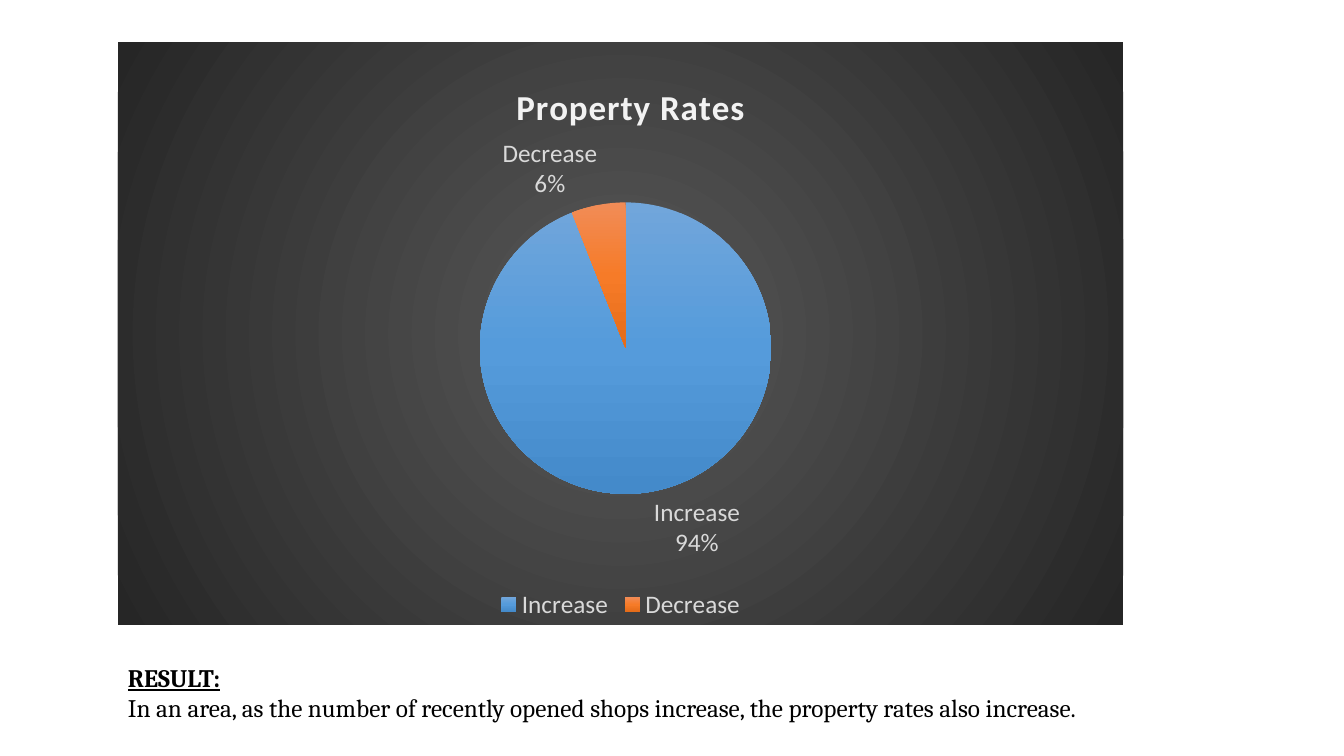
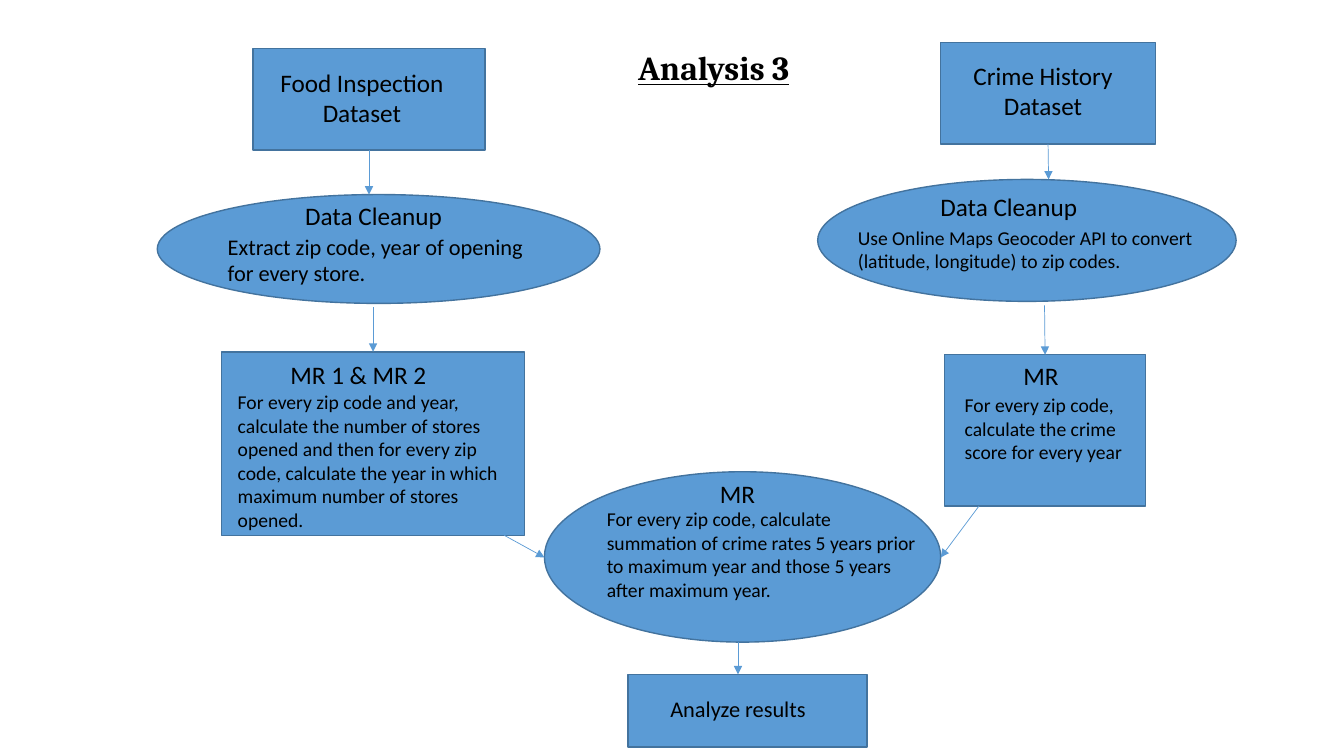
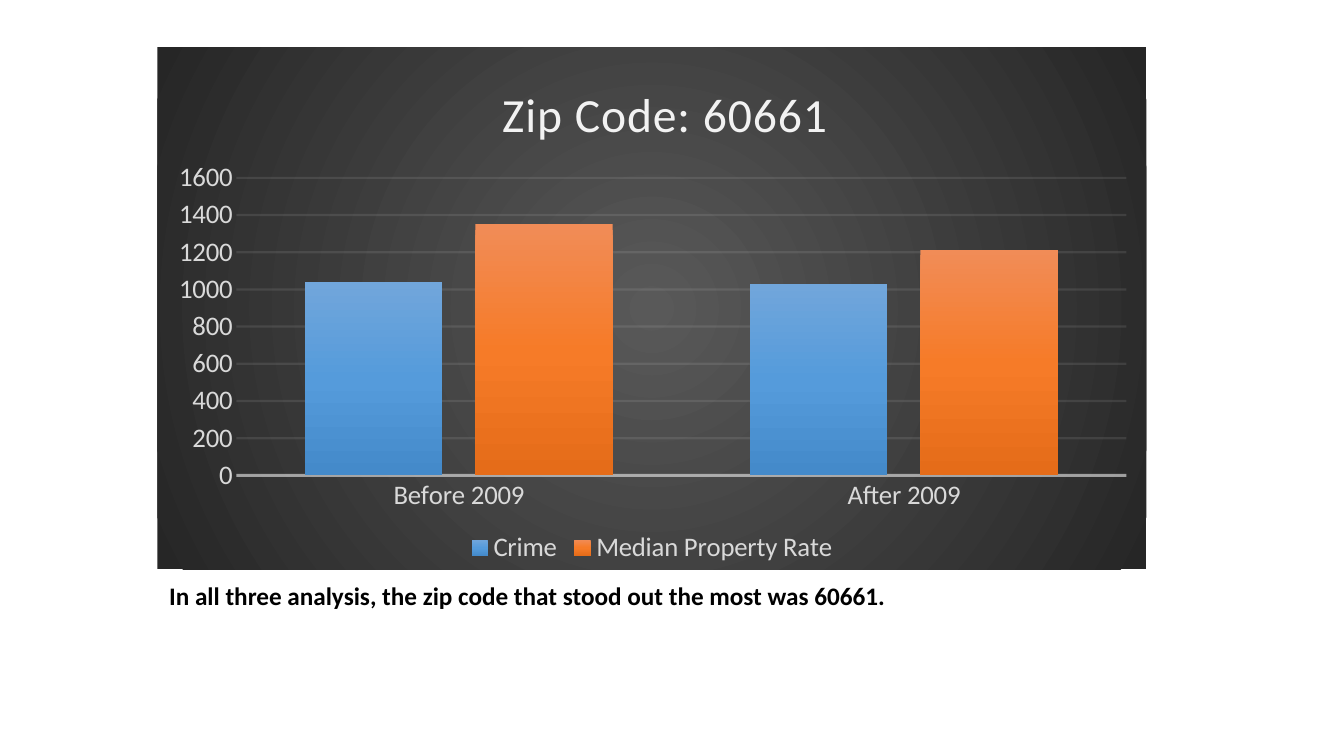
from lxml import etree
from pptx import Presentation
from pptx.chart.data import CategoryChartData
from pptx.dml.color import RGBColor
from pptx.enum.chart import XL_CHART_TYPE, XL_LABEL_POSITION, XL_LEGEND_POSITION, XL_TICK_MARK
from pptx.enum.shapes import MSO_CONNECTOR, MSO_SHAPE
from pptx.enum.text import MSO_ANCHOR, MSO_AUTO_SIZE, PP_ALIGN
from pptx.oxml.ns import qn
from pptx.util import Inches, Pt

COLORS = {
    "text": "000000", "node": "5B9BD5", "edge": "43739E",
    "chart_title": "F2F2F2", "chart_text": "D9D9D9",
}
PANEL = ("595959", "262626")
BLUES = ("71A6DB", "559BDB", "448ACA")
ORANGES = ("F18C57", "F67B28", "E56C19")
TITLE_ONLY, BLANK = 5, 6
TOP, BOTTOM = 0, 2


def rgb(name):
    return RGBColor.from_string(COLORS[name])


def place(box):
    return [Inches(length) for length in box]


def within(box, part):
    """Turn a part's offset and size into a box on the page."""
    return (round(box[0] + part[0], 2), round(box[1] + part[1], 2), *part[2:])


def style_font(font, size, color="text", name="Calibri", bold=False, underline=False):
    font.size, font.name, font.bold = Pt(size), name, bold
    font.underline = underline
    font.color.rgb = rgb(color)


def add_para(frame, text, align=PP_ALIGN.LEFT, first=False, **style):
    para = frame.paragraphs[0] if first else frame.add_paragraph()
    para.alignment = align
    span = para.add_run()
    span.text = text
    style_font(span.font, **style)


def add_text(page, box, text, **style):
    frame = page.shapes.add_textbox(*place(box)).text_frame
    frame.word_wrap = True
    add_para(frame, text, first=True, **style)
    return frame


def add_title(page, box, text, **style):
    title = page.shapes.title
    title.left, title.top, title.width, title.height = place(box)
    frame = title.text_frame
    frame.auto_size = MSO_AUTO_SIZE.NONE
    frame.vertical_anchor = MSO_ANCHOR.TOP
    add_para(frame, text, first=True, **style)


def fill_gradient(holder, colors, circle=False):
    """Give a chart part's spPr evenly spaced stops, downwards or from the centre."""
    for old in list(holder):
        holder.remove(old)
    gradient = etree.SubElement(holder, qn("a:gradFill"), rotWithShape="1")
    stops = etree.SubElement(gradient, qn("a:gsLst"))
    for index, color in enumerate(colors):
        position = index * 100000 // (len(colors) - 1)
        stop = etree.SubElement(stops, qn("a:gs"), pos=str(position))
        etree.SubElement(stop, qn("a:srgbClr"), val=color)
    if circle:
        path = etree.SubElement(gradient, qn("a:path"), path="circle")
        etree.SubElement(path, qn("a:fillToRect"), l="50000", t="50000", r="50000", b="50000")
    else:
        etree.SubElement(gradient, qn("a:lin"), ang="5400000", scaled="0")
    line = etree.SubElement(holder, qn("a:ln"))
    etree.SubElement(line, qn("a:noFill"))


def manual_layout(**values):
    """Build a chart layout from fractions of the chart's size."""
    layout = etree.Element(qn("c:layout"))
    manual = etree.SubElement(layout, qn("c:manualLayout"))
    if "w" in values:
        etree.SubElement(manual, qn("c:layoutTarget"), val="inner")
    for mode in ("xMode", "yMode"):
        etree.SubElement(manual, qn("c:" + mode), val="edge")
    for key, value in values.items():
        etree.SubElement(manual, qn("c:" + key), val=str(value))
    return layout


def set_layout(parent, layout, index):
    for old in parent.findall(qn("c:layout")):
        parent.remove(old)
    parent.insert(index, layout)


def add_dark_chart(page, box, kind, categories, series, title, title_at, plot_at,
                   title_size, text_size, bold=False):
    data = CategoryChartData()
    data.categories = categories
    for name, values in series:
        data.add_series(name, values)
    chart = page.shapes.add_chart(kind, *place(box), data).chart
    style_font(chart.font, text_size, "chart_text")

    panel = etree.Element(qn("c:spPr"))
    chart.element.find(qn("c:chart")).addnext(panel)
    fill_gradient(panel, PANEL, circle=True)

    chart.has_title = True
    frame = chart.chart_title.text_frame
    add_para(frame, title, first=True, align=PP_ALIGN.CENTER,
             size=title_size, color="chart_title", bold=bold)
    for properties in frame._txBody.iter(qn("a:rPr")):
        properties.set("spc", "80")
    chart.chart_title.include_in_layout = False
    set_layout(chart.chart_title._element, manual_layout(**title_at), 1)
    set_layout(chart.element.find(".//" + qn("c:plotArea")), manual_layout(**plot_at), 0)

    chart.has_legend = True
    chart.legend.position = XL_LEGEND_POSITION.BOTTOM
    chart.legend.include_in_layout = False
    style_font(chart.legend.font, text_size, "chart_text")
    return chart


def add_rates_pie(page, box):
    chart = add_dark_chart(
        page, box, XL_CHART_TYPE.PIE, ["Increase", "Decrease"], [("Series 1", (94, 6))],
        "Property Rates", dict(x=0.39, y=0.06), dict(x=0.36, y=0.27, w=0.29, h=0.51),
        title_size=25, text_size=18, bold=True)
    plot = chart.plots[0]
    plot.vary_by_categories = True
    series = plot.series[0]
    for index, colors in enumerate((BLUES, ORANGES)):
        series.points[index].format.fill.background()
        fill_gradient(series._element.xpath("c:dPt/c:spPr")[index], colors)
    labels = series.data_labels
    labels.show_value = False
    labels.show_category_name = labels.show_percentage = True
    labels.position = XL_LABEL_POSITION.OUTSIDE_END
    style_font(labels.font, 18, "chart_text")
    separator = etree.Element(qn("c:separator"))
    separator.text = "\n"
    labels._element.find(qn("c:showBubbleSize")).addnext(separator)


def style_chart_line(line, owner, route, width, opacity):
    line.color.rgb = rgb("chart_title")
    line.width = Pt(width)
    color = owner._element.xpath(route + "/c:spPr/a:ln//a:srgbClr")[0]
    etree.SubElement(color, qn("a:alpha"), val=str(opacity * 1000))


def add_zip_columns(page, box):
    chart = add_dark_chart(
        page, box, XL_CHART_TYPE.COLUMN_CLUSTERED, ["Before 2009", "After 2009"],
        [("Crime", (1040, 1030)), ("Median Property Rate", (1350, 1210))],
        "Zip Code: 60661", dict(x=0.34, y=0.05), dict(x=0.08, y=0.25, w=0.9, h=0.57),
        title_size=34, text_size=19.1)
    plot = chart.plots[0]
    plot.vary_by_categories = False
    plot.gap_width, plot.overlap = 100, -24
    for series, colors in zip(plot.series, (BLUES, ORANGES)):
        fill_gradient(series._element.get_or_add_spPr(), colors)

    years, amounts = chart.category_axis, chart.value_axis
    for axis in (years, amounts):
        axis.major_tick_mark = axis.minor_tick_mark = XL_TICK_MARK.NONE
        style_font(axis.tick_labels.font, 19.1, "chart_text")
    amounts.minimum_scale, amounts.maximum_scale, amounts.major_unit = 0, 1600, 200
    amounts.format.line.fill.background()
    style_chart_line(years.format.line, years, ".", 2.12, 54)
    style_chart_line(amounts.major_gridlines.format.line, amounts, "c:majorGridlines", 1.59, 10)


def add_node(page, kind, box, detail, detail_at, size, heading=None, heading_at=None,
             align=PP_ALIGN.LEFT):
    """Draw one step; its text boxes are placed relative to its box."""
    node = page.shapes.add_shape(kind, *place(box))
    node.shadow.inherit = False
    node.fill.solid()
    node.fill.fore_color.rgb = rgb("node")
    node.line.color.rgb = rgb("edge")
    node.line.width = Pt(1)
    if heading:
        add_text(page, within(box, (*heading_at, 1.83, 0.4)), heading,
                 size=18, align=PP_ALIGN.CENTER)
    add_text(page, within(box, detail_at), detail, size=size, align=align)
    return node


def add_arrow(page, start, end, source=None, target=None):
    """Draw an arrow, joined to the bottom of source and the top of target if given."""
    arrow = page.shapes.add_connector(MSO_CONNECTOR.STRAIGHT, *place(start), *place(end))
    if source:
        arrow.begin_connect(source, BOTTOM)
    if target:
        arrow.end_connect(target, TOP)
    arrow.line.color.rgb = rgb("node")
    arrow.line.width = Pt(0.5)
    etree.SubElement(arrow.line._get_or_add_ln(), qn("a:tailEnd"), type="triangle")
    etree.SubElement(arrow._element.spPr, qn("a:effectLst"))


def add_food_branch(page):
    dataset = add_node(page, MSO_SHAPE.RECTANGLE, (2.51, 0.48, 2.3, 1.01),
                       "Food Inspection Dataset", (0, 0.14, 2.16, 0.71), 18,
                       align=PP_ALIGN.CENTER)
    add_node(page, MSO_SHAPE.OVAL, (1.56, 1.93, 4.39, 1.08),
             "Extract zip code, year of opening for every store.", (0.6, 0.33, 3.25, 0.64), 16,
             "Data Cleanup", (1.23, 0.01))
    count = add_node(page, MSO_SHAPE.RECTANGLE, (2.2, 3.49, 3, 1.82),
                     "For every zip code and year, calculate the number of stores opened and "
                     "then for every zip code, calculate the year in which maximum number of "
                     "stores opened.", (0.06, 0.33, 3, 1.51), 14,
                     "MR 1 & MR 2", (0.44, 0.03))
    add_arrow(page, (3.66, 1.49), (3.66, 1.93), source=dataset)
    add_arrow(page, (3.7, 3.05), (3.7, 3.49), target=count)


def add_crime_branch(page):
    dataset = add_node(page, MSO_SHAPE.RECTANGLE, (9.33, 0.42, 2.13, 1.01),
                       "Crime History Dataset", (-0.03, 0.13, 2.09, 0.71), 18,
                       align=PP_ALIGN.CENTER)
    add_node(page, MSO_SHAPE.OVAL, (8.11, 1.78, 4.15, 1.21),
             "Use Online Maps Geocoder API to convert (latitude, longitude) to zip codes.",
             (0.3, 0.41, 3.97, 0.57), 14, "Data Cleanup", (0.98, 0.07))
    score = add_node(page, MSO_SHAPE.RECTANGLE, (9.37, 3.52, 1.99, 1.5),
                     "For every zip code, calculate the crime score for every year",
                     (0.1, 0.33, 1.76, 1.04), 14, "MR", (0.04, 0.01))
    add_arrow(page, (10.4, 1.43), (10.4, 1.78), source=dataset)
    add_arrow(page, (10.36, 3.03), (10.36, 3.52), target=score)


def add_merge(page):
    add_node(page, MSO_SHAPE.OVAL, (5.4, 4.68, 3.93, 1.69),
             "For every zip code, calculate summation of crime rates 5 years prior to maximum "
             "year and those 5 years after maximum year.", (0.52, 0.3, 3.31, 1.04), 14,
             "MR", (1, 0.02))
    add_node(page, MSO_SHAPE.RECTANGLE, (6.23, 6.69, 2.37, 0.72),
             "Analyze results", (0.32, 0.16, 1.85, 0.37), 16)
    add_arrow(page, (5, 5.31), (5.4, 5.53))
    add_arrow(page, (9.71, 5.02), (9.33, 5.53))
    add_arrow(page, (7.32, 6.37), (7.32, 6.69))


def build_rates_slide(page):
    frame = add_text(page, (1.17, 6.52, 11.09, 0.71), "RESULT:",
                     size=18, name="Cambria", bold=True, underline=True)
    add_para(frame, "In an area, as the number of recently opened shops increase, "
             "the property rates also increase.", size=18, name="Cambria")
    add_rates_pie(page, (1.17, 0.42, 9.97, 5.78))


def build_flow_slide(page):
    add_title(page, (6.23, 0.42, 1.83, 0.5), "Analysis 3",
              size=24, name="Cambria", bold=True, underline=True)
    add_food_branch(page)
    add_crime_branch(page)
    add_merge(page)


def build_zip_slide(page):
    add_zip_columns(page, (1.56, 0.47, 9.81, 5.18))
    add_text(page, (1.58, 5.71, 9.77, 0.4),
             "In all three analysis, the zip code that stood out the most was 60661.",
             size=18, bold=True)


def main():
    deck = Presentation()
    deck.slide_width, deck.slide_height = Inches(13.33), Inches(7.5)
    for layout, build in ((BLANK, build_rates_slide), (TITLE_ONLY, build_flow_slide),
                          (BLANK, build_zip_slide)):
        build(deck.slides.add_slide(deck.slide_layouts[layout]))
    deck.save("out.pptx")


if __name__ == "__main__":
    main()
